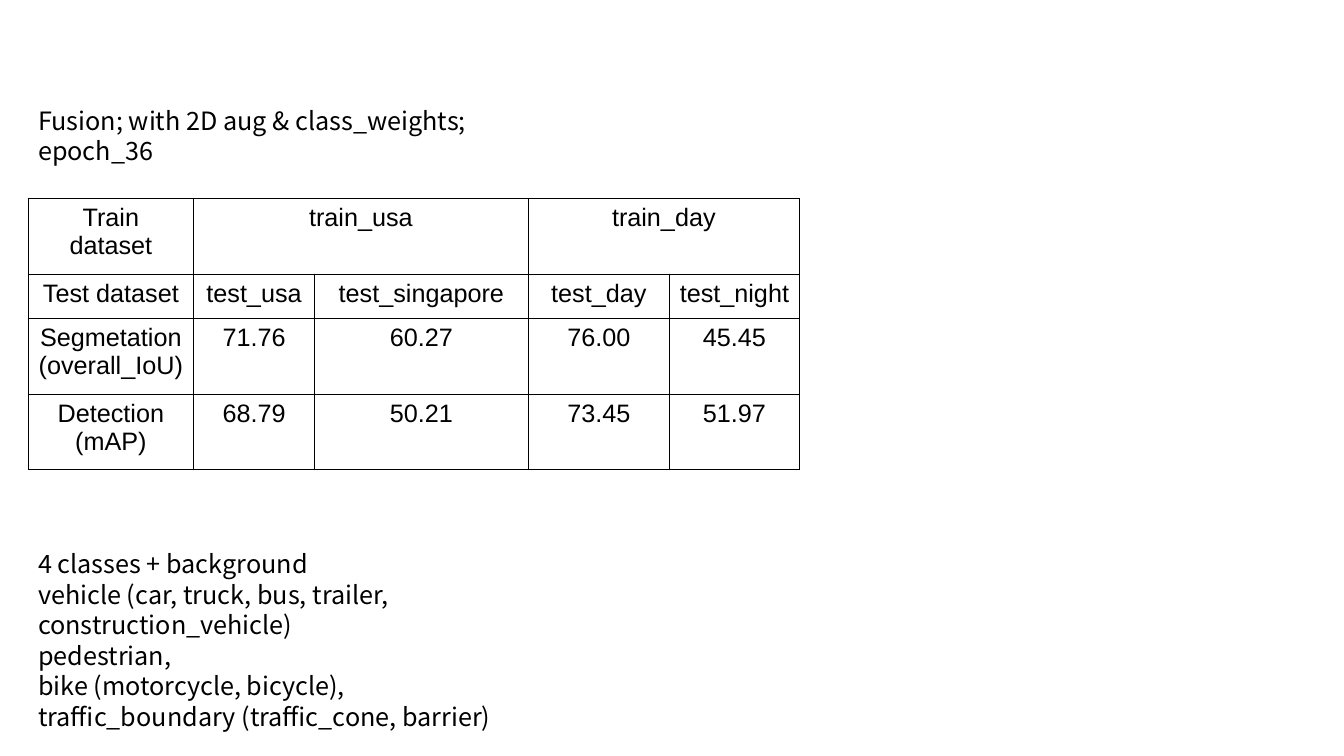
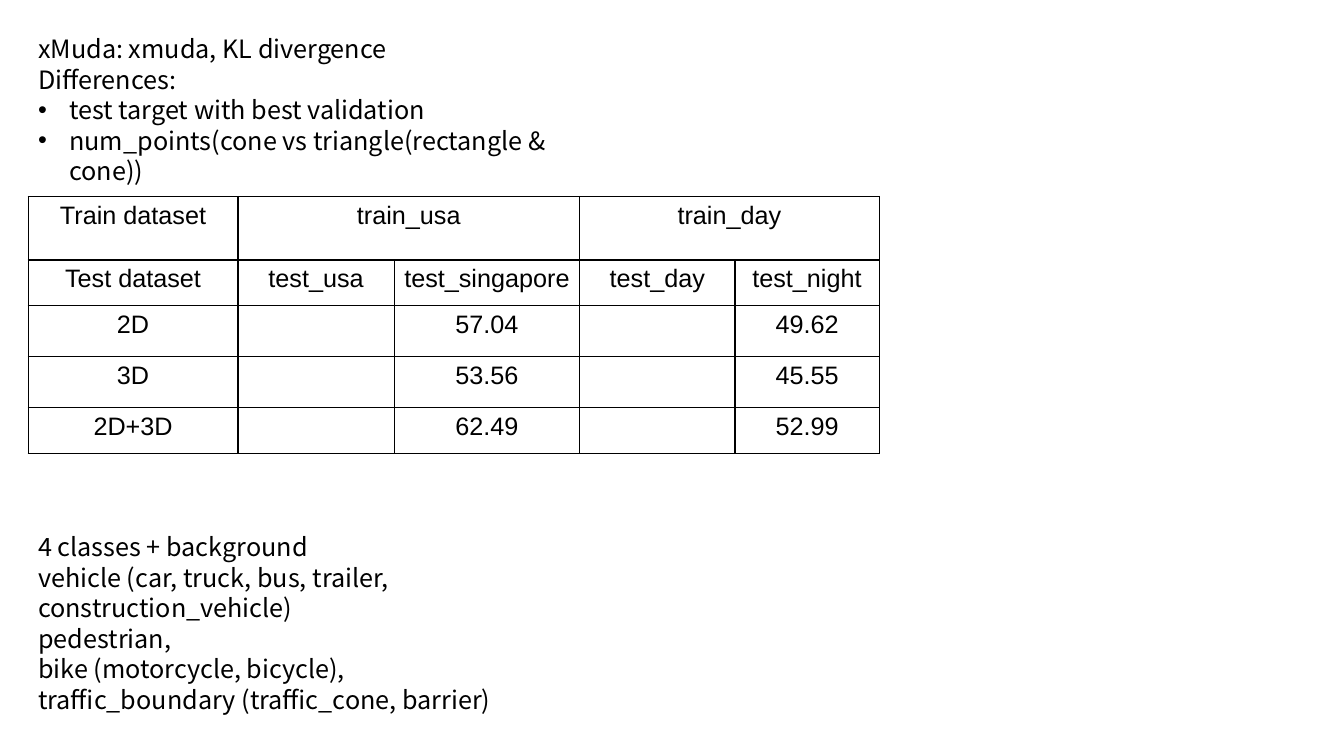
from dataclasses import dataclass

from lxml.etree import SubElement
from pptx import Presentation
from pptx.dml.color import RGBColor
from pptx.enum.text import MSO_AUTO_SIZE as AutoSize, PP_ALIGN as Align
from pptx.oxml.ns import qn
from pptx.util import Pt


@dataclass(frozen=True)
class Theme:
    ink: RGBColor = RGBColor(0, 0, 0)
    paper: RGBColor = RGBColor(255, 255, 255)
    note_font: str = "Noto Sans CJK SC"
    table_font: str = "Arial"
    size: Pt = Pt(18)
    leading: Pt = Pt(21.8)
    border: Pt = Pt(1)


THEME = Theme()
PX = 9144
LEFT = 28
INDENT = 31
BULLET = "• "
BORDERS = ("a:lnL", "a:lnR", "a:lnT", "a:lnB")

HEADER = [
    ["Train dataset", "train_usa", "", "train_day", ""],
    ["Test dataset", "test_usa", "test_singapore", "test_day", "test_night"],
]
CLASSES = [
    "4 classes + background",
    "vehicle (car, truck, bus, trailer, construction_vehicle)",
    "pedestrian,",
    "bike (motorcycle, bicycle),",
    "traffic_boundary (traffic_cone, barrier)",
]
FUSION = {
    "heading": ((LEFT, 99, 527, 40),
                ["Fusion; with 2D aug & class_weights; epoch_36"]),
    "results": ((LEFT, 197), [164, 120, 212, 140, 129], [75, 44, 75, 75], [
        ["Segmetation\n(overall_IoU)", "71.76", "60.27", "76.00", "45.45"],
        ["Detection\n(mAP)", "68.79", "50.21", "73.45", "51.97"],
    ]),
    "classes": ((LEFT, 539, 572, 162), CLASSES),
}
XMUDA = {
    "heading": ((LEFT, 28, 564, 131), [
        "xMuda: xmuda, KL divergence",
        "Differences:",
        BULLET + "test target with best validation",
        BULLET + "num_points(cone vs triangle(rectangle & cone))",
    ]),
    "results": ((LEFT, 195), [208, 155, 184, 154, 143], [63, 45, 51, 50, 46], [
        ["2D", "", "57.04", "", "49.62"],
        ["3D", "", "53.56", "", "45.55"],
        ["2D+3D", "", "62.49", "", "52.99"],
    ]),
    "classes": ((LEFT, 522, 572, 162), CLASSES),
}


def emu(*lengths):
    return [length * PX for length in lengths]


def set_all(target, values):
    for name, value in values.items():
        setattr(target, name, value)


def add_span(para, text, font_name):
    span = para.add_run()
    span.text = text
    set_all(span.font, {"name": font_name, "size": THEME.size})
    span.font.color.rgb = THEME.ink


def add_paragraphs(frame, lines):
    for index, line in enumerate(lines):
        yield frame.add_paragraph() if index else frame.paragraphs[0], line


def add_bullet(para):
    properties = para._p.get_or_add_pPr()
    properties.set("marL", str(INDENT * PX))
    properties.set("indent", str(-INDENT * PX))
    SubElement(properties, qn("a:buFont"), typeface=THEME.table_font)
    SubElement(properties, qn("a:buChar"), char=BULLET.strip())


def add_note(page, place, lines):
    frame = page.shapes.add_textbox(*emu(*place)).text_frame
    set_all(frame, {"word_wrap": True, "auto_size": AutoSize.SHAPE_TO_FIT_TEXT})
    for para, line in add_paragraphs(frame, lines):
        if line.startswith(BULLET):
            add_bullet(para)
        para.line_spacing = THEME.leading
        add_span(para, line.removeprefix(BULLET), THEME.note_font)


def add_borders(cell):
    properties = cell._tc.get_or_add_tcPr()
    for side in BORDERS:
        line = SubElement(properties, qn(side), w=str(THEME.border))
        fill = SubElement(line, qn("a:solidFill"))
        SubElement(fill, qn("a:srgbClr"), val=str(THEME.ink))


def fill_cell(cell, text):
    add_borders(cell)
    cell.fill.solid()
    cell.fill.fore_color.rgb = THEME.paper
    for para, line in add_paragraphs(cell.text_frame, text.splitlines()):
        para.alignment = Align.CENTER
        add_span(para, line, THEME.table_font)


def add_results(page, corner, widths, heights, scores):
    place = emu(*corner, sum(widths), sum(heights))
    table = page.shapes.add_table(len(heights), len(widths), *place).table
    set_all(table, {"first_row": False, "horz_banding": False})
    for column, width in zip(table.columns, widths):
        column.width = width * PX
    for row, height, texts in zip(table.rows, heights, HEADER + scores):
        row.height = height * PX
        for cell, text in zip(row.cells, texts):
            fill_cell(cell, text)
    for first in (1, 3):
        table.cell(0, first).merge(table.cell(0, first + 1))


def add_result_page(deck, content):
    page = deck.slides.add_slide(deck.slide_layouts[6])
    add_results(page, *content["results"])
    add_note(page, *content["classes"])
    add_note(page, *content["heading"])


def main():
    deck = Presentation()
    set_all(deck, {"slide_width": 1333 * PX, "slide_height": 750 * PX})
    for content in (FUSION, XMUDA):
        add_result_page(deck, content)
    deck.save("out.pptx")


if __name__ == "__main__":
    main()
